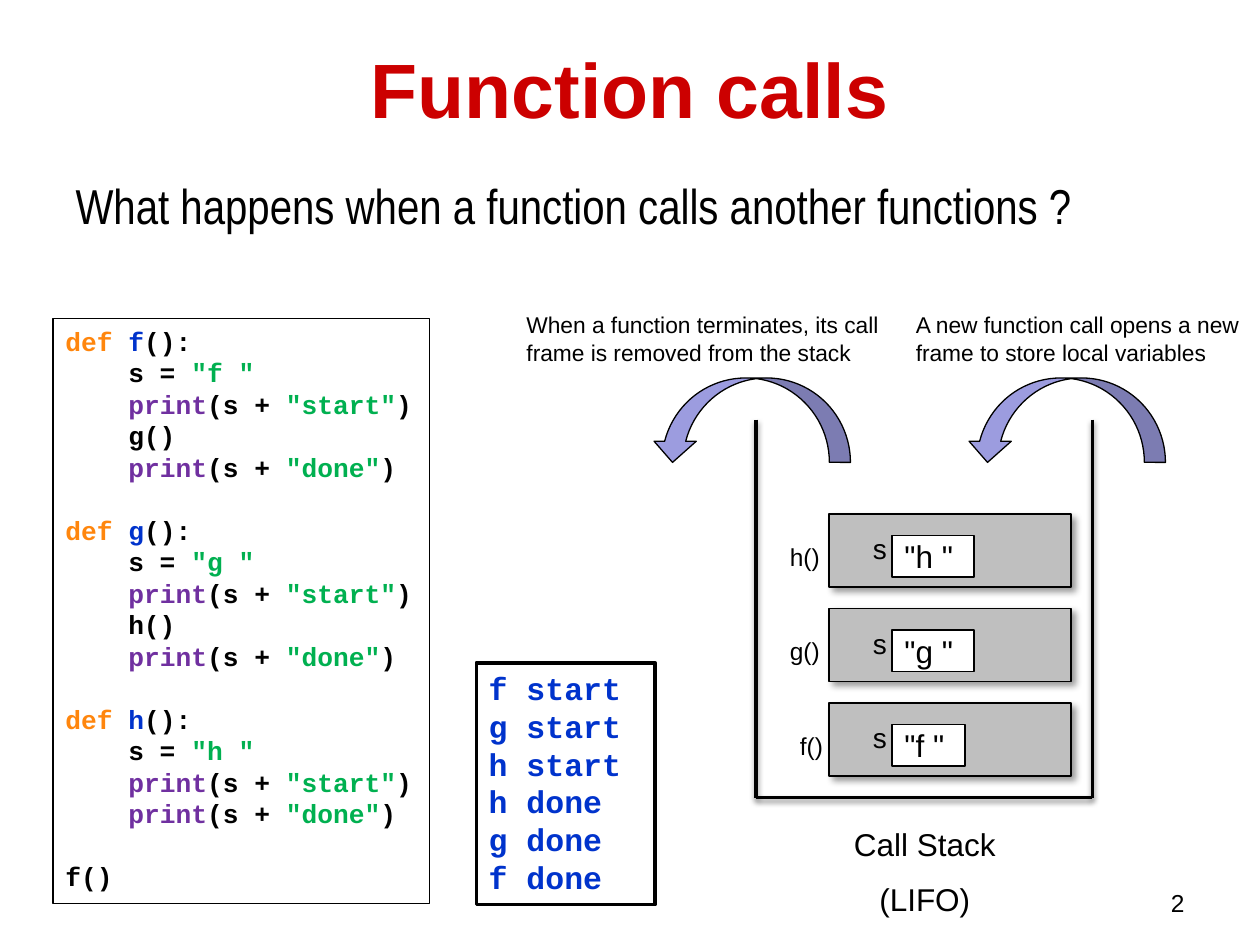
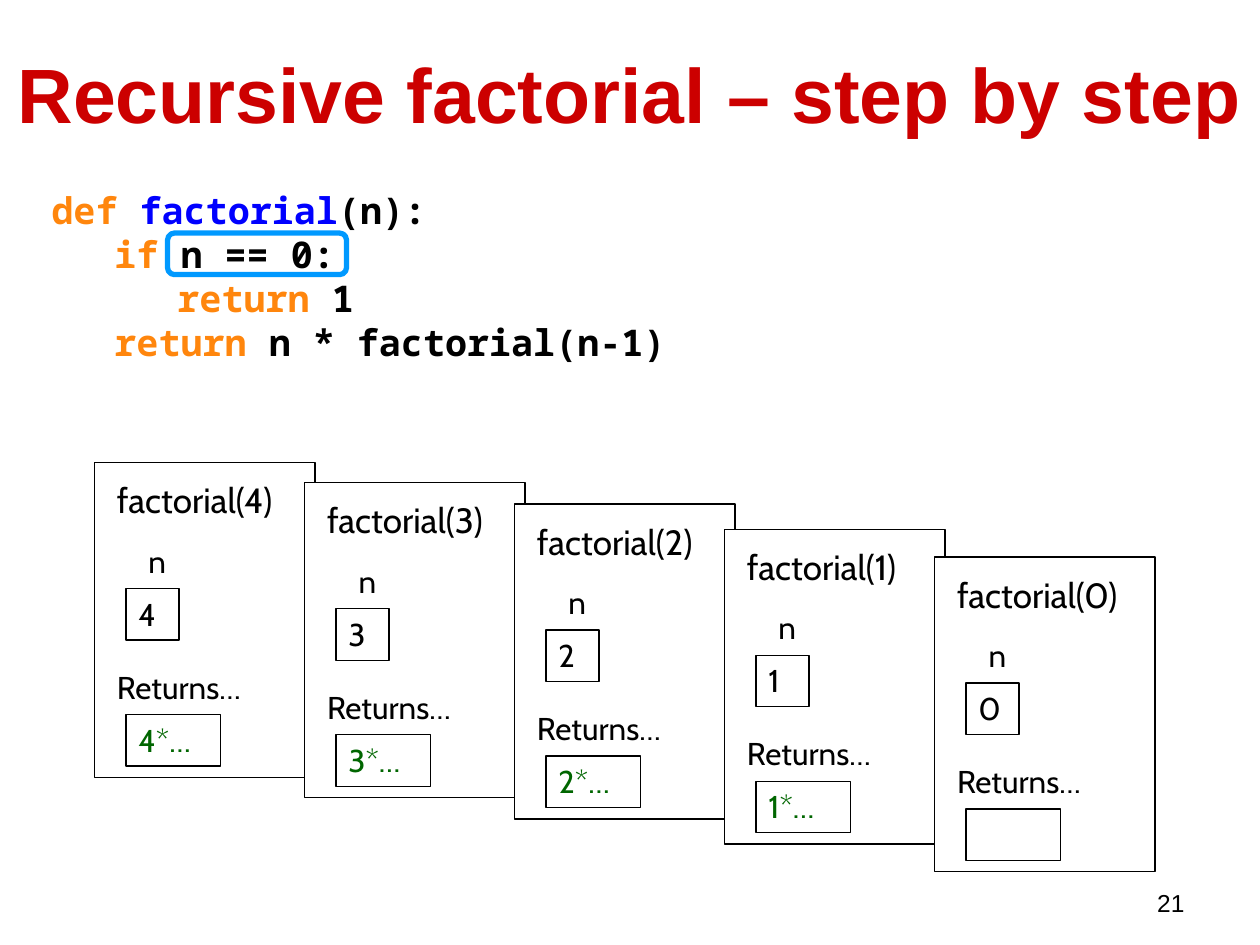
from dataclasses import dataclass
from typing import Any, NamedTuple, Optional

import lxml.etree
import pptx
import pptx.dml.color
import pptx.enum.shapes
import pptx.enum.text
import pptx.oxml.ns
import pptx.util

Inches = pptx.util.Inches
Pt = pptx.util.Pt
RGBColor = pptx.dml.color.RGBColor
Align = pptx.enum.text.PP_ALIGN
Anchor = pptx.enum.text.MSO_ANCHOR
Kind = pptx.enum.shapes.MSO_SHAPE

# Colours
BLACK = RGBColor(0x00, 0x00, 0x00)
WHITE = RGBColor(0xFF, 0xFF, 0xFF)
RED = RGBColor(0xCC, 0x00, 0x00)
BLUE = RGBColor(0x00, 0x33, 0xCC)
NAVY = RGBColor(0x00, 0x00, 0xFF)
SKY = RGBColor(0x00, 0x99, 0xFF)
LILAC = RGBColor(0x9C, 0x9C, 0xDF)
GREY = RGBColor(0xBF, 0xBF, 0xBF)
ORANGE = RGBColor(0xFF, 0x86, 0x0D)
GREEN = RGBColor(0x00, 0xB0, 0x50)
MOSS = RGBColor(0x00, 0x66, 0x00)
PURPLE = RGBColor(0x70, 0x30, 0xA0)


class Box(NamedTuple):
    left: float
    top: float
    width: float
    height: float


class Run(NamedTuple):
    text: str
    color: RGBColor = BLACK


Line = list[Run]


@dataclass(frozen=True)
class Look:
    size: float
    font: str = "Arial"
    bold: bool = False
    align: Any = Align.LEFT
    anchor: Any = Anchor.TOP
    wrap: bool = True


@dataclass(frozen=True)
class Shade:
    alpha: int
    blur: float
    dist: float
    angle: int


@dataclass(frozen=True)
class Call:
    """One frame on the call stack."""
    name: str
    top: float
    label: float
    width: float


TITLE = Look(44, bold=True, align=Align.CENTER, anchor=Anchor.MIDDLE)
LEAD = Look(28, "Arial Narrow")
NUMBER = Look(14, align=Align.RIGHT)
CODE = Look(15, "Courier New", bold=True)
PRINTED = Look(18, "Courier New", bold=True)
MONO = Look(21, "Noto Sans Mono", bold=True)
NOTE = Look(13)
LABEL = Look(14)
NAME = Look(16, wrap=False)
VALUE = Look(18, anchor=Anchor.MIDDLE)
STACK = Look(18, align=Align.CENTER, wrap=False)
HEAD = Look(20, "Cabin")
CABIN = Look(18, "Cabin")

WALL_SHADE = Shade(38, 3.1, 1.6, 90)
CALL_SHADE = Shade(40, 4, 3, 45)

CALLS = [
    Call("f", 5.58, 6.25, 0.58),
    Call("g", 4.83, 6.17, 0.65),
    Call("h", 4.08, 6.17, 0.65),
]
NOTES = [
    (Box(7.17, 2.42, 2.83, 0.54),
     "A new function call opens a new frame to store local variables"),
    (Box(4.08, 2.42, 3.08, 0.54),
     "When a function terminates, its call frame is removed from the stack"),
]
STEP_TOPS = [3.67, 3.83, 4.0, 4.2, 4.42]


# Helpers
def node(parent: Any, tag: str, **attrs: Any) -> Any:
    """Add an XML child such as a:buNone."""
    values = {key: str(val) for key, val in attrs.items()}
    return lxml.etree.SubElement(parent, pptx.oxml.ns.qn(tag), values)


def place(shape: Any, box: Box) -> None:
    shape.left, shape.top, shape.width, shape.height = map(Inches, box)


def write(shape: Any, lines: list[Line], look: Look) -> Any:
    """Fill a text frame run by run."""
    frame = shape.text_frame
    frame.word_wrap = look.wrap
    frame.auto_size = pptx.enum.text.MSO_AUTO_SIZE.NONE
    frame.vertical_anchor = look.anchor
    for index, line in enumerate(lines):
        para = frame.add_paragraph() if index else frame.paragraphs[0]
        para.alignment = look.align
        para.space_before = Pt(0)
        for part in line:
            run = para.add_run()
            run.text = part.text
            run.font.name = look.font
            run.font.size = Pt(look.size)
            run.font.bold = look.bold
            run.font.color.rgb = part.color
    return frame


def text(slide: Any, box: Box, lines: list[Line], look: Look) -> Any:
    return write(slide.shapes.add_textbox(*map(Inches, box)), lines, look)


def cast(effects: Any, shade: Shade) -> None:
    """Put a soft black shadow in an effect list."""
    outer = node(effects, "a:outerShdw", blurRad=int(Pt(shade.blur)),
                 dist=int(Pt(shade.dist)), dir=shade.angle * 60000,
                 algn="tl", rotWithShape=0)
    color = node(outer, "a:srgbClr", val="000000")
    node(color, "a:alpha", val=shade.alpha * 1000)


def draw(slide: Any, box: Box, kind: Any = Kind.RECTANGLE,
         fill: Optional[RGBColor] = None, line: RGBColor = BLACK,
         width: float = 0.75) -> Any:
    shape = slide.shapes.add_shape(kind, *map(Inches, box))
    shape.shadow.inherit = False
    if fill is None:
        shape.fill.background()
    else:
        shape.fill.solid()
        shape.fill.fore_color.rgb = fill
    shape.line.color.rgb = line
    shape.line.width = Pt(width)
    return shape


def start(deck: Any, layout: int, title: str, box: Box, number: int) -> Any:
    """Add a slide with its title and number."""
    slide = deck.slides.add_slide(deck.slide_layouts[layout])
    place(slide.shapes.title, box)
    write(slide.shapes.title, [[Run(title, RED)]], TITLE)
    text(slide, Box(7.17, 7, 2.33, 0.25), [[Run(str(number))]], NUMBER)
    return slide


# Code listing
def echo(word: str) -> Line:
    return [Run("    "), Run("print", PURPLE), Run("(s + "),
            Run(f'"{word}"', GREEN), Run(")")]


def define(name: str, inner: str) -> list[Line]:
    """Code of a function that may call another one."""
    lines = [
        [Run("def ", ORANGE), Run(name, BLUE), Run("():")],
        [Run("    s = "), Run(f'"{name} "', GREEN)],
        echo("start"),
    ]
    if inner:
        lines.append([Run(f"    {inner}()")])
    return lines + [echo("done")]


# Call stack
def wall(slide: Any, x1: float, y1: float, x2: float, y2: float) -> None:
    line = slide.shapes.add_connector(
        pptx.enum.shapes.MSO_CONNECTOR.STRAIGHT,
        Inches(x1), Inches(y1), Inches(x2), Inches(y2))
    line.line.color.rgb = BLACK
    line.line.width = Pt(2)
    cast(node(line._element.spPr, "a:effectLst"), WALL_SHADE)


def push(slide: Any, call: Call) -> None:
    """Draw one call frame with its variable."""
    frame = draw(slide, Box(6.58, call.top, 1.92, 0.58), fill=GREY)
    effects = frame._element.spPr.find(pptx.oxml.ns.qn("a:effectLst"))
    cast(effects, CALL_SHADE)
    row = call.top + 0.17
    text(slide, Box(call.label, row, 6.67 - call.label, 0.34),
         [[Run(f"{call.name}()")]], LABEL)
    value = draw(slide, Box(7.08, row, call.width, 0.33), fill=WHITE)
    write(value, [[Run(f'"{call.name} "')]], VALUE)
    text(slide, Box(6.83, call.top + 0.09, 0.31, 0.37), [[Run("s")]], NAME)


def calls(deck: Any) -> None:
    slide = start(deck, 1, "Function calls", Box(0.5, 0.3, 9, 0.79), 2)
    body = slide.placeholders[1]
    place(body, Box(0.5, 1.34, 9, 0.68))
    lead = "What happens when a function calls another functions ?"
    frame = write(body, [[Run(lead)]], LEAD)
    props = frame.paragraphs[0]._p.get_or_add_pPr()
    props.set("marL", str(Inches(0.38)))
    props.set("indent", str(-Inches(0.38)))
    node(props, "a:buNone")

    # Printed result
    output = draw(slide, Box(3.78, 5.26, 1.42, 1.92), fill=WHITE, width=2)
    order = [f"{name} start" for name in "fgh"]
    order += [f"{name} done" for name in "hgf"]
    write(output, [[Run(row, BLUE)] for row in order], PRINTED)

    # Stack walls and frames
    left, right, top, base = 6, 8.67, 3.33, 6.33
    wall(slide, left, top, left, base)
    wall(slide, right, top, right, base)
    wall(slide, right, base, left, base)
    name = text(slide, Box(6.67, 6.5, 1.34, 0.86),
                [[Run("Call Stack")], [Run("(LIFO)")]], STACK)
    name.paragraphs[1].space_before = Pt(10)
    for call in CALLS:
        push(slide, call)

    # Arrows and notes
    for x in (5.17, 7.67):
        arrow = draw(slide, Box(x, 3, 1.58, 0.67),
                     Kind.CURVED_DOWN_ARROW, fill=LILAC)
        arrow._element.spPr.xfrm.set("flipH", "1")
    for box, words in NOTES:
        text(slide, box, [[Run(words)]], NOTE)

    # Code, one gap before each block but the first
    lines: list[Line] = []
    gaps = []
    for part in (define("f", "g"), define("g", "h"), define("h", ""),
                 [[Run("f()")]]):
        gaps.append(len(lines))
        lines += part
    code = write(draw(slide, Box(0.42, 2.53, 2.99, 4.64)), lines, CODE)
    for index in gaps[1:]:
        code.paragraphs[index].space_before = Pt(18)


# Recursion steps
def step(slide: Any, left: float, top: float, n: int) -> None:
    def at(x: float, y: float, width: float, height: float) -> Box:
        return Box(left + x, top + y, width, height)

    draw(slide, at(0, 0, 1.75, 2.5), fill=WHITE)
    text(slide, at(0.08, 0.08, 1.58, 0.43), [[Run(f"factorial({n})")]], HEAD)
    text(slide, at(0.33, 0.58, 0.42, 0.4), [[Run("n")]], CABIN)
    write(draw(slide, at(0.25, 1, 0.42, 0.41)), [[Run(str(n))]], CABIN)
    text(slide, at(0.08, 1.58, 1.42, 0.4), [[Run("Returns…")]], CABIN)
    result = draw(slide, at(0.25, 2, 0.75, 0.41))
    if n:
        write(result, [[Run(f"{n}*…", MOSS)]], CABIN)


def factorial(deck: Any) -> None:
    slide = start(deck, 5, "Recursive factorial – step by step",
                  Box(0, 0.3, 10, 0.87), 21)
    code = text(slide, Box(0.31, 1.44, 6.08, 1.51), [
        [Run("def ", ORANGE), Run("factorial", NAVY), Run("(n):")],
        [Run("\t"), Run("if", ORANGE), Run(" n == 0:")],
        [Run("\t\treturn", ORANGE), Run(" 1")],
        [Run("\treturn", ORANGE), Run(" n * factorial(n-1)")],
    ], MONO)
    for para in code.paragraphs:
        tabs = node(para._p.get_or_add_pPr(), "a:tabLst")
        for stop in (0.5, 1):
            node(tabs, "a:tab", pos=int(Inches(stop)), algn="l")
    draw(slide, Box(1.33, 1.85, 1.42, 0.33), Kind.ROUNDED_RECTANGLE,
         line=SKY, width=3)
    for index, top in enumerate(STEP_TOPS):
        step(slide, 0.75 + index * 5 / 3, top, 4 - index)


def main() -> None:
    deck = pptx.Presentation()
    deck.slide_width = Inches(10)
    deck.slide_height = Inches(7.5)
    calls(deck)
    factorial(deck)
    deck.save("out.pptx")


if __name__ == "__main__":
    main()
